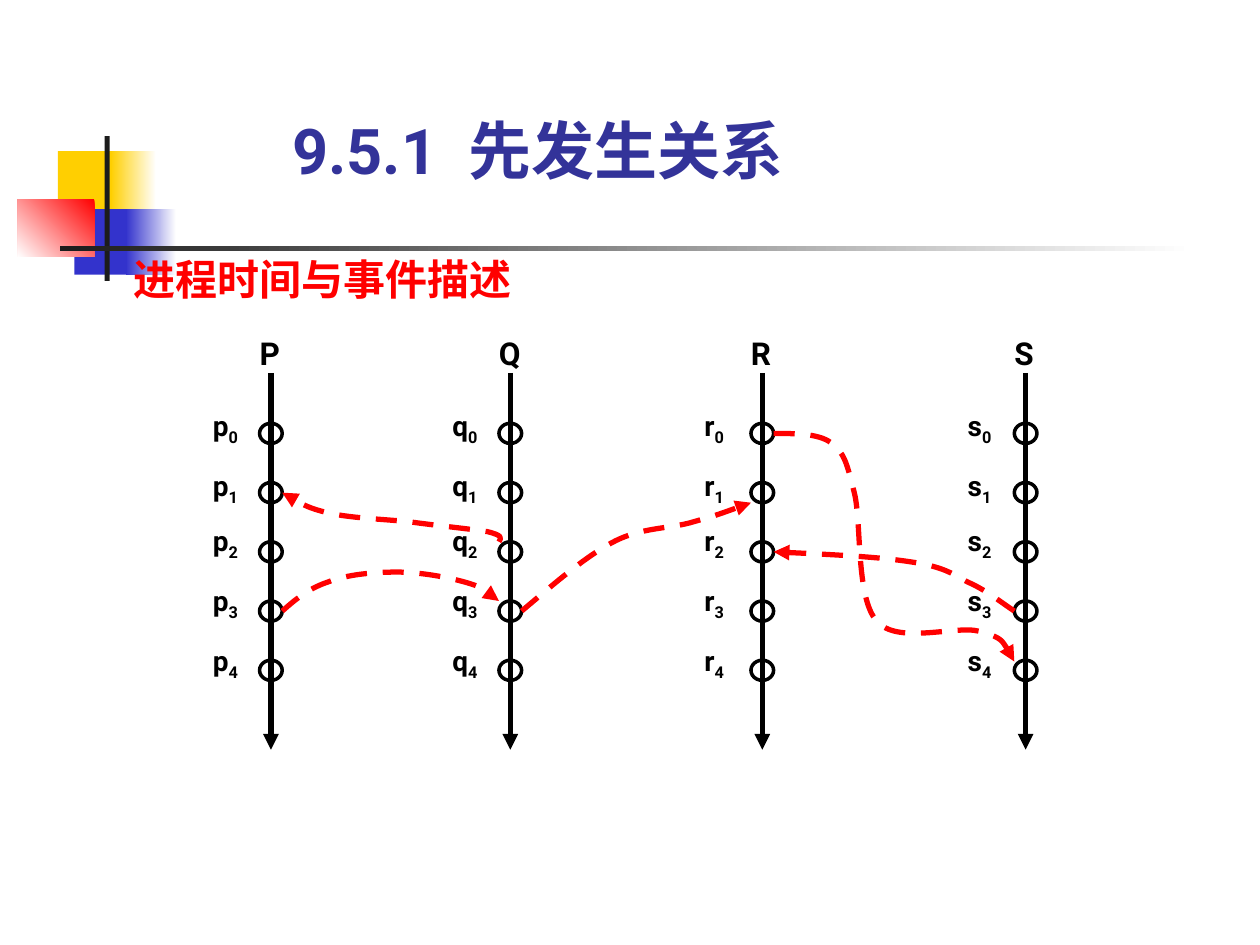
import dataclasses
import typing

import pptx
import pptx.dml.color
import pptx.enum.dml
import pptx.enum.shapes
import pptx.enum.text
import pptx.oxml
import pptx.oxml.ns
import pptx.util

COLS, ROWS = 10, 7.5
CELL = pptx.util.Inches(1)
FONT = "Roboto"
BLACK, RED, BLUE, DARK = "000000", "FF0000", "3333CC", "1C1C1C"
WHITE, GOLD, NAVY = "FFFFFF", "FFCF01", "333399"
RING_W, RING_H, RING_TOP, STEP = 0.18, 0.16, 3.36, 0.47
LABEL_TOPS = (3.23, 3.7, 4.14, 4.62, 5.09)
SHAPE = pptx.enum.shapes.MSO_SHAPE
ANCHOR = pptx.enum.text.MSO_ANCHOR
Point = tuple[float, float]


@dataclasses.dataclass
class Box:
    """A place on the slide in grid columns and rows."""
    left: float
    top: float
    width: float
    height: float

    def emu(self) -> list[int]:
        """Return the place in slide units."""
        return [cells(v) for v in (self.left, self.top, self.width, self.height)]


@dataclasses.dataclass
class Block:
    """A decorative bar, plain or fading from one colour to another."""
    box: Box
    start: str
    end: str = ""
    angle: int = 180


@dataclasses.dataclass
class Run:
    """A piece of text in one style."""
    text: str
    size: float
    color: str = BLACK
    sub: bool = False


@dataclasses.dataclass
class Axis:
    """The time line of one process."""
    name: str
    x: float


@dataclasses.dataclass
class Message:
    """A curved arrow made of a start and Bezier pieces."""
    start: Point
    curves: list[tuple[Point, Point, Point]]


BLOCKS = [
    Block(Box(0.46, 1.2, 0.48, 0.52), GOLD),
    Block(Box(0.88, 1.2, 0.36, 0.52), WHITE, GOLD),
    Block(Box(0.59, 1.66, 0.46, 0.52), BLUE),
    Block(Box(1, 1.66, 0.4, 0.52), WHITE, BLUE),
    Block(Box(0.14, 1.58, 0.61, 0.46), RED, WHITE, 135),
    Block(Box(0.83, 1.08, 0.04, 1.15), DARK),
    Block(Box(0.48, 1.95, 9, 0.04), WHITE, DARK),
]
AXES = [Axis("P", 2.15), Axis("Q", 4.05), Axis("R", 6.05), Axis("S", 8.14)]
MESSAGES = [
    Message((3.96, 4.3), [
        ((3.98, 4.27), (3.99, 4.25), (3.87, 4.22)),
        ((3.75, 4.2), (3.45, 4.17), (3.24, 4.14)),
        ((3.02, 4.12), (2.77, 4.11), (2.6, 4.07)),
        ((2.44, 4.03), (2.34, 3.97), (2.24, 3.91))]),
    Message((2.24, 4.85), [
        ((2.34, 4.76), (2.45, 4.67), (2.6, 4.62)),
        ((2.75, 4.56), (2.96, 4.54), (3.15, 4.54)),
        ((3.33, 4.54), (3.55, 4.58), (3.69, 4.62)),
        ((3.83, 4.66), (3.89, 4.72), (3.96, 4.77))]),
    Message((4.14, 4.85), [
        ((4.39, 4.64), (4.64, 4.42), (4.87, 4.3)),
        ((5.1, 4.18), (5.32, 4.2), (5.51, 4.14)),
        ((5.69, 4.09), (5.82, 4.04), (5.96, 3.99))]),
    Message((6.14, 3.44), [
        ((6.31, 3.44), (6.49, 3.44), (6.59, 3.51)),
        ((6.7, 3.59), (6.72, 3.67), (6.78, 3.91)),
        ((6.84, 4.14), (6.79, 4.75), (6.96, 4.93)),
        ((7.12, 5.12), (7.59, 4.96), (7.77, 5.01)),
        ((7.96, 5.06), (8, 5.15), (8.05, 5.25))]),
    Message((8.05, 4.85), [
        ((7.93, 4.77), (7.82, 4.68), (7.68, 4.62)),
        ((7.55, 4.55), (7.49, 4.5), (7.23, 4.46)),
        ((6.97, 4.42), (6.56, 4.4), (6.14, 4.38))]),
]


def cells(count: float) -> int:
    """Turn grid cells into slide units."""
    return round(count * CELL)


def paint(code: str) -> pptx.dml.color.RGBColor:
    """Turn a hex string into a colour."""
    return pptx.dml.color.RGBColor.from_string(code)


def stroke(line: typing.Any, color: str, width: float) -> None:
    """Set the colour and width of a line."""
    line.color.rgb = paint(color)
    line.width = pptx.util.Pt(width)


def child(parent: typing.Any, tag: str, **attrs: str) -> typing.Any:
    """Append a drawing element to a parent."""
    node = pptx.oxml.parse_xml(f"<{tag} {pptx.oxml.ns.nsdecls('a')}/>")
    for key, value in attrs.items():
        node.set(key, value)
    parent.append(node)
    return node


def draw_block(shapes: typing.Any, block: Block) -> None:
    """Draw a decorative bar."""
    bar = shapes.add_shape(SHAPE.RECTANGLE, *block.box.emu())
    bar.shadow.inherit = False
    bar.line.fill.background()
    if not block.end:
        bar.fill.solid()
        bar.fill.fore_color.rgb = paint(block.start)
        return
    bar.fill.gradient()
    bar.fill.gradient_angle = 360 - block.angle
    for stop, color in zip(bar.fill.gradient_stops, (block.start, block.end)):
        stop.color.rgb = paint(color)


def draw_text(shapes: typing.Any, box: Box, runs: list[Run],
              space: float = 1, anchor: typing.Any = ANCHOR.TOP) -> None:
    """Draw a line of text without margins."""
    frame = shapes.add_textbox(*box.emu()).text_frame
    frame.word_wrap = True
    frame.vertical_anchor = anchor
    frame.margin_left = frame.margin_right = 0
    frame.margin_top = frame.margin_bottom = 0
    para = frame.paragraphs[0]
    para.line_spacing = space
    for part in runs:
        run = para.add_run()
        run.text = part.text
        run.font.name = FONT
        run.font.size = pptx.util.Pt(part.size)
        run.font.bold = True
        run.font.color.rgb = paint(part.color)
        if part.sub:
            run.font._element.set("baseline", "-25000")


def draw_axis(shapes: typing.Any, axis: Axis) -> None:
    """Draw a time line with its name, events and labels."""
    x = cells(axis.x)
    line = shapes.add_connector(pptx.enum.shapes.MSO_CONNECTOR.STRAIGHT,
                                x, cells(2.96), x, cells(5.95))
    stroke(line.line, BLACK, 3)
    child(line.line._get_or_add_ln(), "a:tailEnd", type="triangle")
    child(line._element.spPr, "a:effectLst")
    left = axis.x - RING_W / 2
    draw_text(shapes, Box(left, 2.65, RING_W, 0.3), [Run(axis.name, 18)])
    for row, top in enumerate(LABEL_TOPS):
        place = Box(left, RING_TOP + row * STEP, RING_W, RING_H)
        ring = shapes.add_shape(SHAPE.OVAL, *place.emu())
        ring.shadow.inherit = False
        ring.fill.background()
        stroke(ring.line, BLACK, 2)
        runs = [Run(axis.name.lower(), 16), Run(str(row), 16, sub=True)]
        draw_text(shapes, Box(left - 0.37, top, 0.36, 0.32), runs, 1.05)


def bend(shape: typing.Any) -> None:
    """Join every three straight segments into one Bezier piece."""
    lines = list(shape._element.iter(pptx.oxml.ns.qn("a:lnTo")))
    track = lines[0].getparent()
    for first in range(0, len(lines), 3):
        piece = child(track, "a:cubicBezTo")
        for line in lines[first:first + 3]:
            piece.append(line[0])
            track.remove(line)


def draw_message(shapes: typing.Any, message: Message) -> None:
    """Draw a dashed curved arrow."""
    pen = shapes.build_freeform(*message.start, scale=CELL)
    for curve in message.curves:
        pen.add_line_segments(curve, close=False)
    pen = shapes.build_freeform(*map(cells, message.start))
    knots = [tuple(map(cells, knot)) for curve in message.curves for knot in curve]
    pen.add_line_segments(knots, close=False)
    arrow = pen.convert_to_shape()
    bend(arrow)
    arrow.shadow.inherit = False
    arrow.fill.background()
    stroke(arrow.line, RED, 3)
    arrow.line.dash_style = pptx.enum.dml.MSO_LINE.DASH
    child(arrow.line._get_or_add_ln(), "a:tailEnd", type="triangle")


def main() -> None:
    """Build the slide and save it."""
    deck = pptx.Presentation()
    deck.slide_width, deck.slide_height = cells(COLS), cells(ROWS)
    shapes = deck.slides.add_slide(deck.slide_layouts[6]).shapes
    for block in BLOCKS:
        draw_block(shapes, block)
    draw_text(shapes, Box(2.32, 0.91, 4.41, 0.59),
              [Run("9.5.1  先发生关系", 36, NAVY), Run(" ", 44, NAVY)], 0.8, ANCHOR.BOTTOM)
    draw_text(shapes, Box(1.06, 2.01, 3.23, 0.4), [Run("进程时间与事件描述", 24, RED)])
    for axis in AXES:
        draw_axis(shapes, axis)
    for message in MESSAGES:
        draw_message(shapes, message)
    deck.save("out.pptx")


if __name__ == "__main__":
    main()
